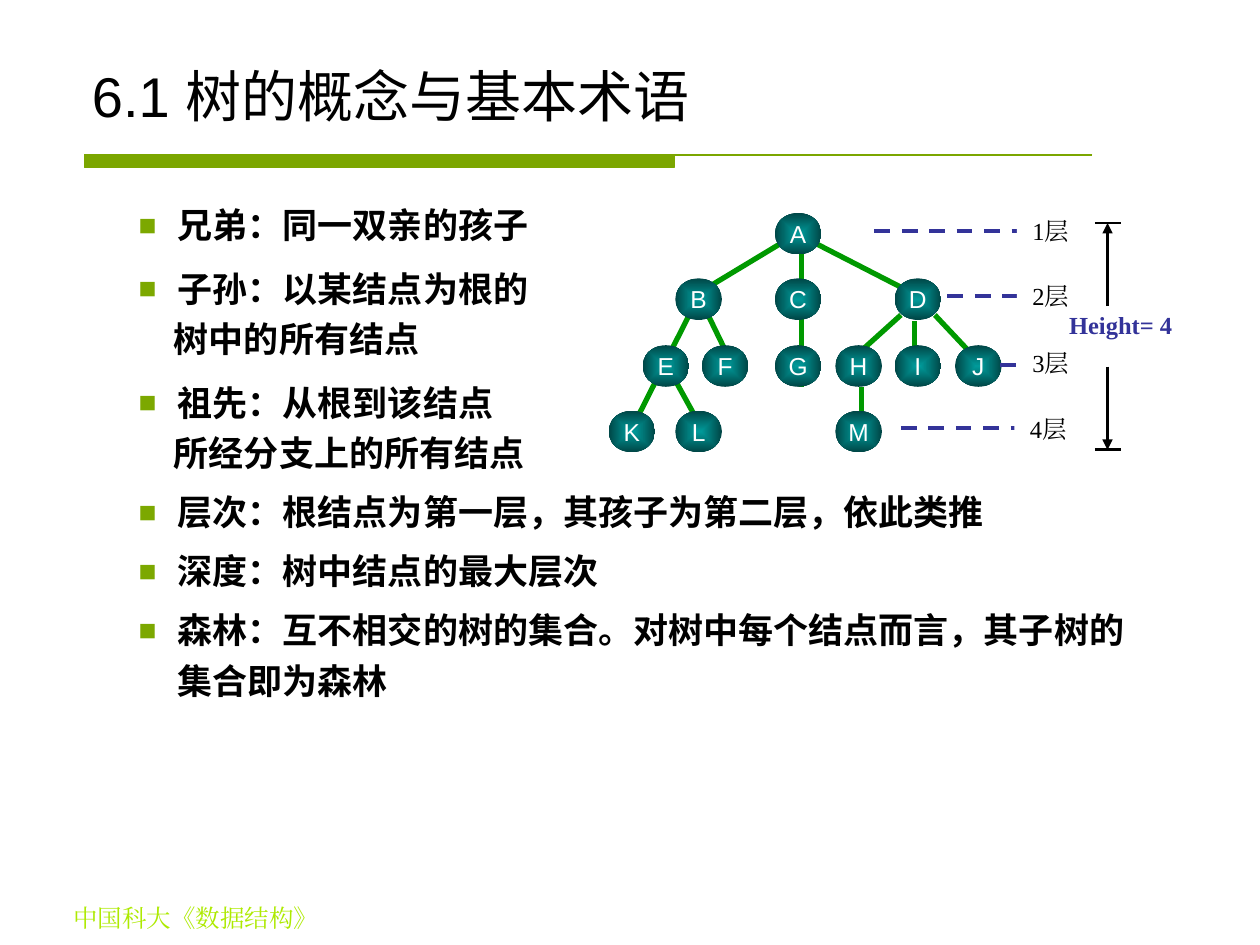
from dataclasses import dataclass
from lxml.etree import SubElement as Sub
from pptx import Presentation
from pptx.dml.color import RGBColor as Rgb
from pptx.enum.dml import MSO_LINE as Dash
from pptx.enum.shapes import MSO_CONNECTOR as Wire, MSO_SHAPE as Form
from pptx.enum.text import MSO_ANCHOR as Anchor, MSO_AUTO_SIZE as Auto, PP_ALIGN as Align
from pptx.oxml import parse_xml
from pptx.oxml.ns import nsdecls, qn
from pptx.util import Pt

SCALE = 9144


@dataclass(frozen=True)
class Theme:
    bar: str = "7BA600"
    mark: str = "7CA800"
    foot: str = "ADEA00"
    edge: str = "009900"
    core: str = "009999"
    rim: str = "004646"
    level: str = "333399"
    ink: str = "000000"
    paper: str = "FFFFFF"
    head: int = 32
    body: int = 20
    small: int = 14
    sans: str = "Arial"
    serif: str = "Times New Roman"
    han: str = "Noto Sans CJK SC"


T = Theme()


def px(*nums):
    return [round(n * SCALE) for n in nums]


def rgb(code):
    return Rgb.from_string(code)


def write(shape, *lines, size=T.small, font=T.serif, color=T.ink, bold=False,
          align=Align.CENTER, anchor=Anchor.MIDDLE, wrap=True, space=None):
    frame = shape.text_frame
    frame.auto_size = Auto.NONE
    frame.word_wrap = wrap
    frame.vertical_anchor = anchor
    for i, line in enumerate(lines):
        para = frame.add_paragraph() if i else frame.paragraphs[0]
        para.alignment = align
        para.line_spacing = space
        run = para.add_run()
        run.text = line
        run.font.size = Pt(size)
        run.font.bold = bold
        run.font.name = font
        run.font.color.rgb = rgb(color)
        Sub(run.font._element, qn("a:ea"), typeface=font)
    return frame.paragraphs


def place(shape, box):
    shape.left, shape.top, shape.width, shape.height = px(*box)


def draw(shapes, x1, y1, x2, y2, color, width, dash=None, arrow=False):
    wire = shapes.add_connector(Wire.STRAIGHT, *px(x1, y1, x2, y2))
    wire.line.color.rgb = rgb(color)
    wire.line.width = Pt(width)
    if dash:
        wire.line.dash_style = dash
    if arrow:
        Sub(wire.line._get_or_add_ln(), qn("a:tailEnd"), type="triangle")
    Sub(wire._element.spPr, qn("a:effectLst"))


def add_bar(shapes, box):
    x, y, wide, high = box
    thick = 468
    pen = shapes.build_freeform(x, y, scale=SCALE)
    pen.add_line_segments([(x + thick, y), (x + thick, y + high), (x, y + high)], close=True)
    pen.move_to(x, y)
    pen.add_line_segments([(x + wide, y)], close=False)
    bar = pen.convert_to_shape()
    bar.shadow.inherit = False
    bar.fill.solid()
    bar.fill.fore_color.rgb = rgb(T.bar)
    bar.line.color.rgb = rgb(T.bar)
    bar.line.width = Pt(0.75)


def add_foot(shapes, box):
    write(shapes.add_textbox(*px(*box)), "中国科大《数据结构》", color=T.foot, anchor=Anchor.TOP)


def add_title(shape, box):
    place(shape, box)
    write(shape, "6.1 树的概念与基本术语", size=T.head, font=T.sans,
          align=Align.LEFT, anchor=Anchor.BOTTOM)


def add_list(shape, box):
    place(shape, box)
    rows = [
        ("兄弟：同一双亲的孩子", 0),
        ("子孙：以某结点为根的", 7.5),
        ("树中的所有结点", None),
        ("祖先：从根到该结点", 7.5),
        ("所经分支上的所有结点", None),
        ("层次：根结点为第一层，其孩子为第二层，依此类推", 5),
        ("深度：树中结点的最大层次", 5),
        ("森林：互不相交的树的集合。对树中每个结点而言，其子树的集合即为森林", 5),
    ]
    paras = write(shape, *(line for line, gap in rows), size=T.body, font=T.han, bold=True,
                  align=Align.LEFT, anchor=Anchor.TOP, space=Pt(28.8))
    for para, (line, gap) in zip(paras, rows):
        para.level = 1
        para.space_before = Pt(gap or 0)
        props = para._p.get_or_add_pPr()
        left, dent = px(78, 0) if gap is None else px(81, -31)
        props.set("marL", str(left))
        props.set("indent", str(dent))
        if gap is None:
            Sub(props, qn("a:buNone"))
            continue
        Sub(Sub(props, qn("a:buClr")), qn("a:srgbClr"), val=T.mark)
        Sub(props, qn("a:buSzPct"), val="85000")
        Sub(props, qn("a:buFont"), typeface=T.sans)
        Sub(props, qn("a:buChar"), char="■")


def add_node(shapes, name, box):
    node = shapes.add_shape(Form.OVAL, *px(*box))
    node.shadow.inherit = False
    node.line.fill.background()
    node._element.spPr.find(qn("a:prstGeom")).addnext(parse_xml(
        f'<a:gradFill {nsdecls("a")} rotWithShape="1"><a:gsLst>'
        f'<a:gs pos="0"><a:srgbClr val="{T.core}"/></a:gs>'
        f'<a:gs pos="100000"><a:srgbClr val="{T.rim}"/></a:gs></a:gsLst>'
        '<a:path path="rect"><a:fillToRect l="50000" t="50000" r="50000" b="50000"/></a:path>'
        '</a:gradFill>'))
    write(node, name, font=T.sans, color=T.paper, wrap=False)


def add_tree(shapes, box):
    x, y = box[:2]
    edges = [
        (262, 90, 293, 123), (235, 90, 204, 118), (246, 95, 246, 118), (204, 147, 204, 176),
        (167, 33, 241, 71), (140, 33, 77, 71), (156, 38, 156, 147), (82, 90, 98, 123),
        (56, 142, 72, 171), (67, 90, 19, 185),
    ]
    nodes = [
        {"A": 135},
        {"B": 56, "C": 135, "D": 230},
        {"E": 30, "F": 77, "G": 135, "H": 183, "I": 230, "J": 278},
        {"K": 3, "L": 56, "M": 183},
    ]
    levels = [(214, 362, 23, 327), (272, 351, 75, 327), (314, 361, 130, 327), (235, 362, 180, 325)]
    step = 52.4
    for x1, y1, x2, y2 in edges:
        draw(shapes, x + x1, y + y1, x + x2, y + y2, T.edge, 3)
    for i, row in enumerate(nodes):
        for name, left in row.items():
            add_node(shapes, name, (x + left, y + 9 + round(i * step), 37, 33))
    for i, (start, end, mid, left) in enumerate(levels):
        draw(shapes, x + start, y + mid, x + end, y + mid, T.level, 2.25, dash=Dash.DASH)
        tag = shapes.add_shape(Form.RECTANGLE, *px(x + left, y + 6 + round(i * step), 54, 34))
        tag.shadow.inherit = False
        tag.fill.solid()
        tag.fill.fore_color.rgb = rgb(T.paper)
        tag.line.fill.background()
        write(tag, f"{i + 1}层", wrap=False)


def add_gauge(shapes, box):
    x, y, wide, high = box
    for end, start in ((y, y + 66), (y + high, y + high - 66)):
        draw(shapes, x + 48, end, x + 69, end, T.ink, 1.5)
        draw(shapes, x + 58, start, x + 58, end, T.ink, 1.5, arrow=True)
    label = shapes.add_textbox(*px(x, y + 68, wide, 29))
    write(label, "Height= 4", color=T.level, bold=True, space=0.8)


def main():
    deck = Presentation()
    deck.slide_width, deck.slide_height = px(1000, 750)
    slide = deck.slides.add_slide(deck.slide_layouts[1])
    shapes = slide.shapes
    add_bar(shapes, (67, 123, 800, 10))
    add_foot(shapes, (0, 712, 311, 34))
    add_title(shapes.title, (63, 33, 875, 74))
    add_list(slide.placeholders[1], (50, 150, 875, 543))
    add_tree(shapes, (480, 160, 381, 199))
    add_gauge(shapes, (821, 177, 137, 180))
    deck.save("out.pptx")


if __name__ == "__main__":
    main()
